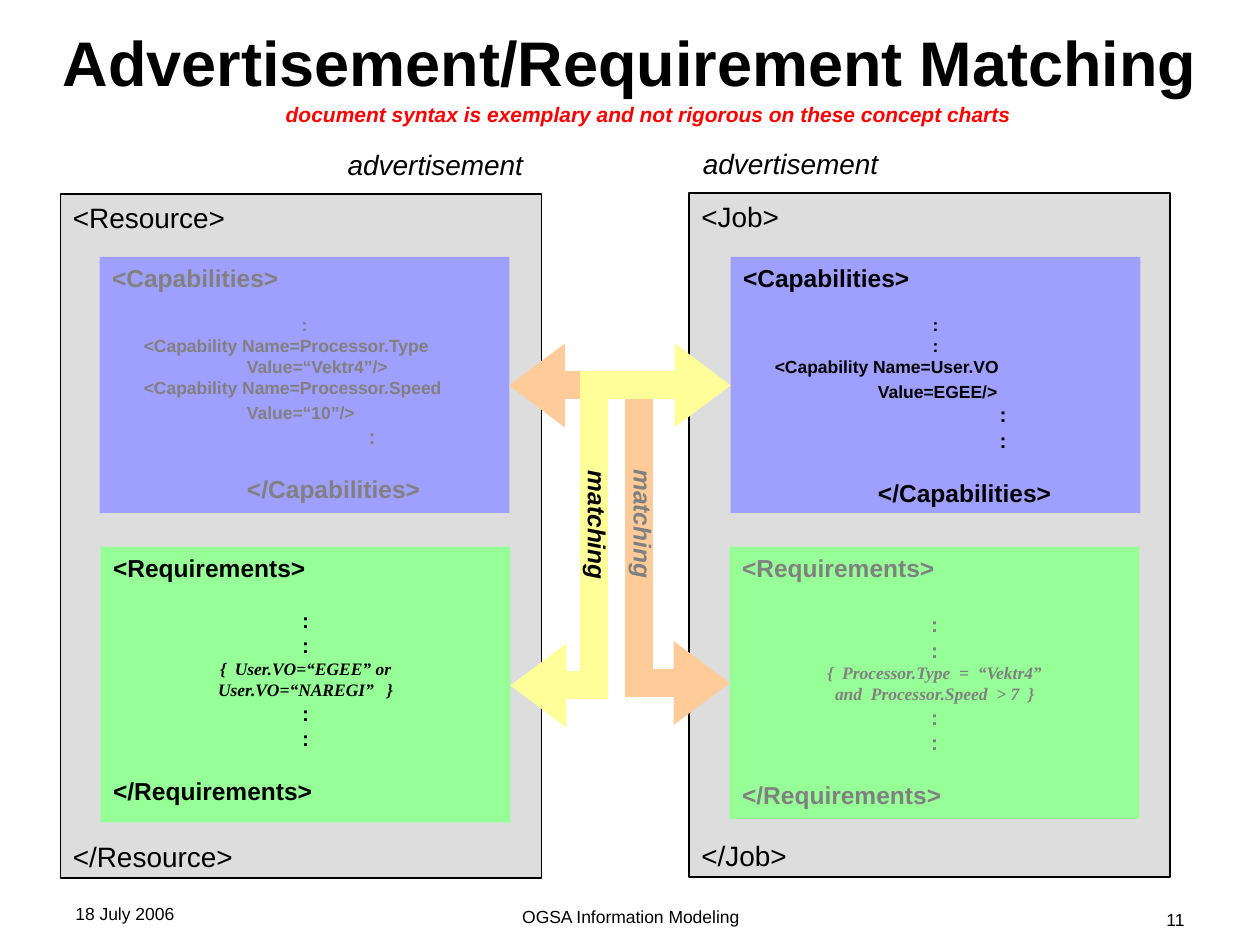
"""Build the slide on matching advertisements with requirements."""
from copy import deepcopy
from dataclasses import dataclass
from typing import Optional

from lxml import etree
from pptx import Presentation
from pptx.dml.color import RGBColor
from pptx.enum.shapes import MSO_CONNECTOR, MSO_SHAPE
from pptx.enum.text import MSO_ANCHOR, PP_ALIGN
from pptx.oxml.ns import qn
from pptx.util import Cm, Pt

LEFT, CENTER, RIGHT = PP_ALIGN.LEFT, PP_ALIGN.CENTER, PP_ALIGN.RIGHT
TOP, MIDDLE = MSO_ANCHOR.TOP, MSO_ANCHOR.MIDDLE
RECTANGLE, ELBOW = MSO_SHAPE.RECTANGLE, MSO_CONNECTOR.ELBOW


@dataclass(frozen=True)
class Theme:
    sans: str = "Arial"
    serif: str = "Times New Roman"
    black: RGBColor = RGBColor(0x00, 0x00, 0x00)
    gray: RGBColor = RGBColor(0x80, 0x80, 0x80)
    red: RGBColor = RGBColor(0xFF, 0x00, 0x00)
    document: RGBColor = RGBColor(0xDD, 0xDD, 0xDD)
    capabilities: RGBColor = RGBColor(0x9F, 0x9F, 0xFF)
    requirements: RGBColor = RGBColor(0x97, 0xFF, 0x97)
    peach: RGBColor = RGBColor(0xFF, 0xCC, 0x99)
    yellow: RGBColor = RGBColor(0xFF, 0xFF, 0x99)
    title: float = 36
    label: float = 16
    tag: float = 14
    body: float = 12
    small: float = 10


THEME = Theme()


@dataclass(frozen=True)
class Line:
    text: str
    size: float
    align: PP_ALIGN = LEFT
    before: float = 0
    margin: float = 0
    indent: float = 0
    bold: bool = False
    italic: bool = False
    font: str = THEME.sans


@dataclass(frozen=True)
class Block:
    left: float
    top: float
    width: float
    height: float
    lines: tuple[Line, ...]
    color: RGBColor = THEME.black
    fill: Optional[RGBColor] = None
    outline: Optional[RGBColor] = None
    rotation: float = 0
    anchor: MSO_ANCHOR = TOP
    wrap: bool = True


@dataclass(frozen=True)
class Match:
    start: tuple[float, float]
    end: tuple[float, float]
    bend: int
    color: RGBColor
    label: Block


def tag(text: str, before: float = 0, margin: float = 0) -> Line:
    return Line(text, THEME.tag, before=before, margin=margin, bold=True)


def dots(size: float = THEME.body, before: float = 0, margin: float = 0) -> Line:
    return Line(":", size, CENTER, before, margin, bold=True)


def capability(text: str) -> Line:
    return Line(text, THEME.small, margin=2.72, indent=-2.08, bold=True)


def last_value(text: str) -> Line:
    return Line(text, THEME.small, before=2.5, margin=2.72, bold=True)


def condition(text: str) -> Line:
    return Line(text, THEME.small, CENTER, bold=True, italic=True, font=THEME.serif)


def document(left: float, top: float, name: str) -> Block:
    lines = (Line(f"<{name}>", THEME.label), Line(f"</{name}>", THEME.label, before=346))
    return Block(left, top, 9.7, 13.79, lines, fill=THEME.document, outline=THEME.black)


def capabilities(left: float, color: RGBColor, body: tuple[Line, ...]) -> Block:
    lines = (tag("<Capabilities>"), dots(THEME.small, 12), *body,
             tag("</Capabilities>", 14.5, 2.72))
    return Block(left, 5.18, 8.26, 5.16, lines, color, THEME.capabilities)


def requirements(left: float, height: float, color: RGBColor, gap: float, text: str) -> Block:
    lines = (tag("<Requirements>"), dots(before=gap), dots(), condition(text),
             dots(), dots(), tag("</Requirements>", 14.5))
    return Block(left, 11.02, 8.26, height, lines, color, THEME.requirements)


def advertisement(left: float, top: float) -> Block:
    return Block(left, top, 4.04, 0.94, (Line("advertisement", THEME.label, italic=True),), wrap=False)


def matching(left: float, top: float, color: RGBColor) -> Block:
    line = Line("matching", THEME.tag, CENTER, bold=True, italic=True)
    return Block(left, top, 3, 0.86, (line,), color, rotation=90, wrap=False)


BLOCKS = (
    document(1.22, 3.91, "Resource"),
    requirements(2.03, 5.56, THEME.black, 14.5, "{  User.VO=“EGEE” or\nUser.VO=“NAREGI”   }"),
    document(13.89, 3.89, "Job"),
    capabilities(14.73, THEME.black, (
        dots(THEME.small),
        capability("<Capability Name=User.VO"),
        last_value("Value=EGEE/>"),
        dots(margin=2.72),
        dots(margin=2.72),
    )),
    advertisement(6.76, 2.84),
    advertisement(13.92, 2.82),
    requirements(14.71, 5.49, THEME.gray, 17,
                 "{  Processor.Type  =  “Vektr4”\nand  Processor.Speed  > 7  }"),
    capabilities(2.01, THEME.gray, (
        capability("<Capability Name=Processor.Type\nValue=“Vektr4”/>"),
        capability("<Capability Name=Processor.Speed"),
        last_value("Value=“10”/>"),
        dots(margin=2.72),
    )),
)
MATCHES = (
    Match((10.26, 7.77), (14.71, 13.77), 59000, THEME.peach, matching(11.46, 10.13, THEME.gray)),
    Match((10.29, 13.82), (14.73, 7.77), 38100, THEME.yellow, matching(10.54, 10.16, THEME.black)),
)
HEADINGS = (
    Block(5.51, 1.93, 15.14, 0.76, (
        Line("document syntax is exemplary and not rigorous on these concept charts",
             THEME.body, bold=True, italic=True),), THEME.red, wrap=False),
    Block(0, 0.76, 25.4, 0.94, (
        Line("Advertisement/Requirement Matching", THEME.title, CENTER, bold=True),), anchor=MIDDLE),
    Block(8.69, 18.14, 8.05, 0.53, (Line("OGSA Information Modeling", THEME.small, CENTER),)),
    Block(18.21, 18.19, 5.92, 0.48, (Line("11", THEME.small, RIGHT),)),
    Block(1.27, 18.08, 5.92, 0.58, (Line("18 July 2006", THEME.small),)),
)


def set_all(target: object, values: dict[str, object]) -> None:
    for name, value in values.items():
        setattr(target, name, value)


def write_line(paragraph, line: Line, color: RGBColor) -> None:
    paragraph.text = line.text
    set_all(paragraph, {"alignment": line.align, "space_before": Pt(line.before)})
    properties = paragraph._p.get_or_add_pPr()
    properties.set("marL", str(Cm(line.margin)))
    properties.set("indent", str(Cm(line.indent)))
    for run in paragraph.runs:
        set_all(run.font, {"name": line.font, "size": Pt(line.size),
                           "bold": line.bold, "italic": line.italic})
        run.font.color.rgb = color
    for line_break in paragraph._p.findall(qn("a:br")):
        line_break.append(deepcopy(paragraph.runs[0]._r.rPr))


def draw_block(slide, block: Block) -> None:
    place = [Cm(value) for value in (block.left, block.top, block.width, block.height)]
    if block.fill is None:
        shape = slide.shapes.add_textbox(*place)
    else:
        shape = slide.shapes.add_shape(RECTANGLE, *place)
        shape.shadow.inherit = False
        shape.fill.solid()
        shape.fill.fore_color.rgb = block.fill
        if block.outline is None:
            shape.line.fill.background()
        else:
            shape.line.color.rgb = block.outline
            shape.line.width = Pt(0.75)
    shape.rotation = block.rotation
    frame = shape.text_frame
    set_all(frame, {"word_wrap": block.wrap, "vertical_anchor": block.anchor})
    for index, line in enumerate(block.lines):
        paragraph = frame.add_paragraph() if index else frame.paragraphs[0]
        write_line(paragraph, line, block.color)


def draw_match(slide, match: Match) -> None:
    ends = [Cm(value) for value in (*match.start, *match.end)]
    connector = slide.shapes.add_connector(ELBOW, *ends)
    connector.line.color.rgb = match.color
    connector.line.width = Pt(16)
    properties = connector._element.spPr
    guides = properties.find(qn("a:prstGeom")).get_or_add_avLst()
    etree.SubElement(guides, qn("a:gd"), name="adj1", fmla=f"val {match.bend}")
    stroke = properties.find(qn("a:ln"))
    etree.SubElement(stroke, qn("a:miter"), lim="800000")
    for end in ("a:headEnd", "a:tailEnd"):
        etree.SubElement(stroke, qn(end), type="triangle", w="med", len="sm")
    etree.SubElement(properties, qn("a:effectLst"))
    draw_block(slide, match.label)


def main() -> None:
    presentation = Presentation()
    set_all(presentation, {"slide_width": Cm(25.4), "slide_height": Cm(19.05)})
    slide = presentation.slides.add_slide(presentation.slide_layouts[6])
    for block in BLOCKS:
        draw_block(slide, block)
    for match in MATCHES:
        draw_match(slide, match)
    for heading in HEADINGS:
        draw_block(slide, heading)
    presentation.save("out.pptx")


if __name__ == "__main__":
    main()
